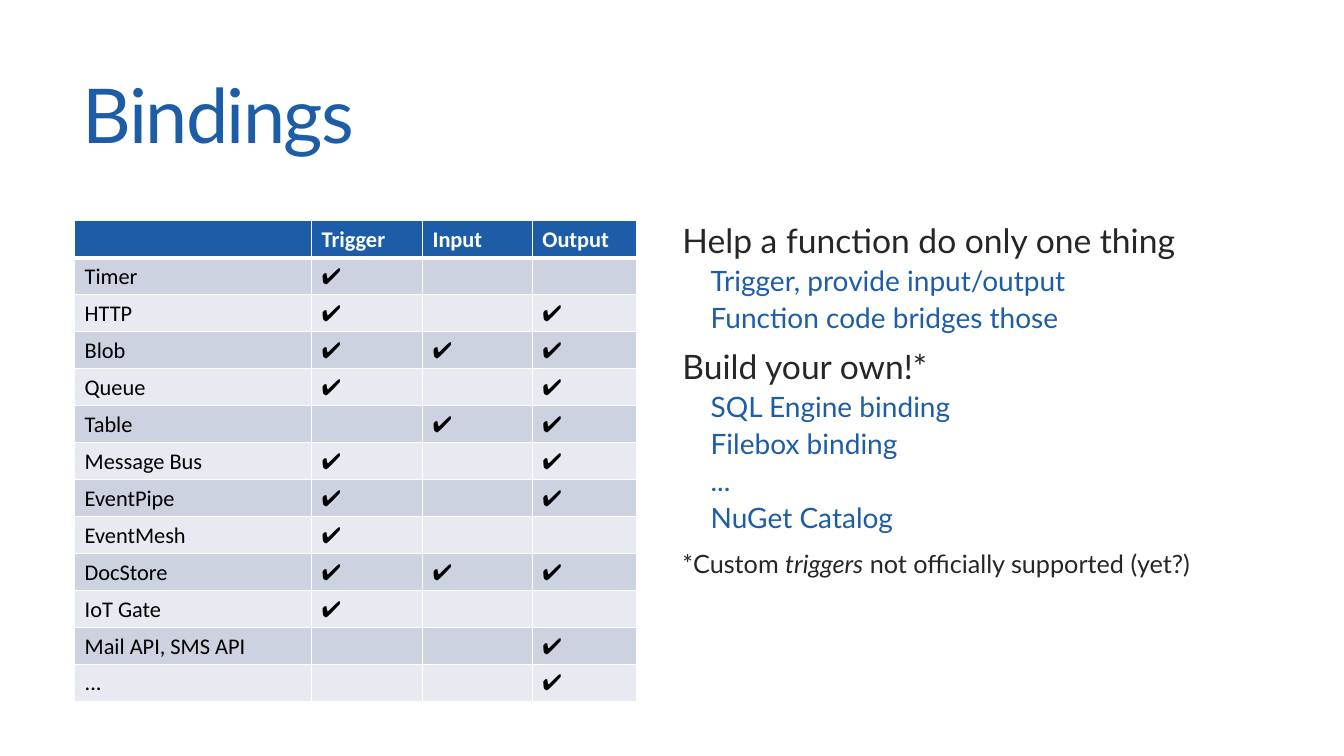
from lxml import etree
from pptx import Presentation
from pptx.dml.color import RGBColor
from pptx.enum.text import MSO_ANCHOR, PP_ALIGN
from pptx.oxml.ns import qn
from pptx.util import Inches, Pt

MIDDLE = MSO_ANCHOR.MIDDLE
LEFT = PP_ALIGN.LEFT
TITLE_ONLY = 5
COLORS = {"blue": "1D5DA7", "dark": "262626", "black": "000000",
          "white": "FFFFFF", "odd": "CDD2E1", "even": "E8EAF1"}

HEADS = ["", "Trigger", "Input", "Output"]
# Service name and the columns that are ticked
ROWS = [("Timer", "T"), ("HTTP", "TO"), ("Blob", "TIO"), ("Queue", "TO"),
        ("Table", "IO"), ("Message Bus", "TO"), ("EventPipe", "TO"),
        ("EventMesh", "T"), ("DocStore", "TIO"), ("IoT Gate", "T"),
        ("Mail API, SMS API", "O"), ("...", "O")]
WIDTHS = [2.35, 1.1, 1.09, 1.03]

# Indent, space before, size and colour of each kind of line
STYLES = {"main": (0.1, 13, 24, "dark"), "sub": (0.38, 6, 20, "blue"),
          "note": (0.1, 13, 18, "dark")}
# Kind of line and its runs; every second run is italic
POINTS = [("main", ["Help a function do only one thing"]),
          ("sub", ["Trigger, provide input/output"]),
          ("sub", ["Function code bridges those"]),
          ("main", ["Build your own!*"]),
          ("sub", ["SQL Engine binding"]),
          ("sub", ["Filebox binding"]),
          ("sub", ["..."]),
          ("sub", ["NuGet Catalog"]),
          ("note", ["*Custom ", "triggers",
                    " not officially supported (yet?)"])]


def color(name):
    return RGBColor.from_string(COLORS[name])


def style(run, face, size, shade, bold=False, italic=False):
    font = run.font
    font.name, font.size = face, Pt(size)
    font.bold, font.italic = bold, italic
    font.color.rgb = color(shade)


def add_title(slide, text):
    title = slide.shapes.title
    title.left, title.top = Inches(0.72), Inches(0.37)
    title.width, title.height = Inches(11.78), Inches(1.65)
    frame = title.text_frame
    frame.text = text
    frame.vertical_anchor = MIDDLE
    para = frame.paragraphs[0]
    para.alignment, para.line_spacing = LEFT, 0.85
    run = para.runs[0]
    style(run, "Lato", 54, "blue")
    run.font._element.set("spc", "-120")


def add_edge(cell, index, side, width):
    line = etree.Element(qn(f"a:ln{side}"), w=str(Pt(width)))
    fill = etree.SubElement(line, qn("a:solidFill"))
    etree.SubElement(fill, qn("a:srgbClr"), val=COLORS["white"])
    cell._tc.get_or_add_tcPr().insert(index, line)


def fill_cell(cell, text, row):
    head = row == 0
    shade = "blue" if head else "odd" if row % 2 else "even"
    cell.fill.solid()
    cell.fill.fore_color.rgb = color(shade)
    # Thick rule between the header and the first row
    thick = {(0, "B"), (1, "T")}
    for index, side in enumerate("LRTB"):
        add_edge(cell, index, side, 3 if (row, side) in thick else 1)
    para = cell.text_frame.paragraphs[0]
    if text:
        para.text = text
        style(para.runs[0], "Calibri", 16, "white" if head else "black", head)
    else:
        # Keeps an empty cell as low as the others
        etree.SubElement(para._p, qn("a:endParaRPr"), sz="1600")


def add_grid(slide):
    lines = [HEADS] + [
        [name] + ["✔" if head[0] in ticks else "" for head in HEADS[1:]]
        for name, ticks in ROWS]
    table = slide.shapes.add_table(
        len(lines), len(HEADS), Inches(0.74), Inches(2.19),
        Inches(sum(WIDTHS)), Inches(0.36 * len(lines))).table
    for column, width in zip(table.columns, WIDTHS):
        column.width = Inches(width)
    for row, line in enumerate(lines):
        table.rows[row].height = Inches(0.36)
        for col, text in enumerate(line):
            fill_cell(table.cell(row, col), text, row)


def add_points(slide):
    frame = slide.shapes.add_textbox(
        Inches(6.57), Inches(2.19), Inches(6.09), Inches(4.12)).text_frame
    frame.word_wrap = True
    for number, (kind, parts) in enumerate(POINTS):
        indent, space, size, shade = STYLES[kind]
        para = frame.add_paragraph() if number else frame.paragraphs[0]
        para.line_spacing = 0.85
        para.space_before = Pt(space if number else 0)
        para.level = int(kind == "sub")
        para._p.get_or_add_pPr().set("marL", str(Inches(indent)))
        for index, part in enumerate(parts):
            run = para.add_run()
            run.text = part
            style(run, "Lato", size, shade, italic=index % 2 == 1)


def main():
    deck = Presentation()
    deck.slide_width, deck.slide_height = Inches(13.33), Inches(7.5)
    slide = deck.slides.add_slide(deck.slide_layouts[TITLE_ONLY])
    add_title(slide, "Bindings")
    add_points(slide)
    add_grid(slide)
    deck.save("out.pptx")


if __name__ == "__main__":
    main()
